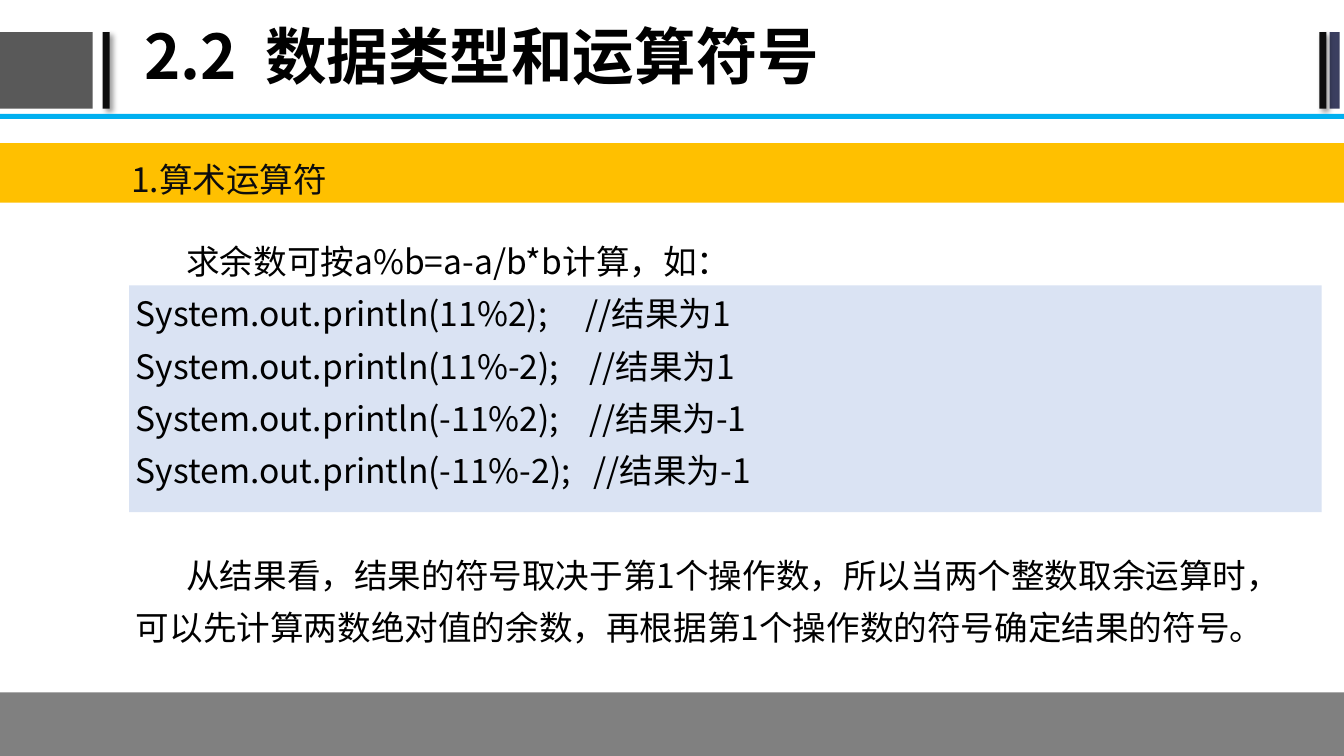
from lxml.etree import SubElement
from pptx import Presentation
from pptx.dml.color import RGBColor
from pptx.enum.shapes import MSO_SHAPE
from pptx.enum.text import MSO_ANCHOR, MSO_AUTO_SIZE, PP_ALIGN
from pptx.oxml.ns import qn
from pptx.util import Pt

FONT = "Noto Sans CJK SC"
COLORS = {
    "text": "000000", "heading": "0D0D0D", "block": "595959", "bar": "0D0D0D",
    "navy": "3B3F60", "rule": "00B0F0", "code": "DAE3F3", "footer": "808080",
    "band": "FFC000", "shadow": "000000",
}
WIDTH, HEIGHT = 960, 540
BAR_TOP, BAR_HEIGHT = 23, 54.7
FOOTER_TOP = 494.6
INDENT = 36
TEXT_SIZE = 24
PARAGRAPH_GAP = 37.4

TITLE = "2.2  数据类型和运算符号"
HEADING = "1.算术运算符"
INTRO = "求余数可按a%b=a-a/b*b计算，如："
CODE = [
    "System.out.println(11%2);     //结果为1",
    "System.out.println(11%-2);    //结果为1",
    "System.out.println(-11%2);    //结果为-1",
    "System.out.println(-11%-2);   //结果为-1",
]
CONCLUSION = ("从结果看，结果的符号取决于第1个操作数，所以当两个整数取余运算时，"
              "可以先计算两数绝对值的余数，再根据第1个操作数的符号确定结果的符号。")

# colour, left, top, width, height, shadow
PANELS = [
    ("block", 0, BAR_TOP, 66.2, BAR_HEIGHT, False),
    ("bar", 73.4, BAR_TOP, 5, BAR_HEIGHT, True),
    ("navy", 949.7, BAR_TOP, 7.2, BAR_HEIGHT, False),
    ("bar", 942.5, BAR_TOP, 5, BAR_HEIGHT, True),
    ("rule", 0, 81.4, WIDTH, 3.6, False),
    ("code", 92.2, 203.8, 851.8, 162, False),
    ("footer", 0, FOOTER_TOP, WIDTH, HEIGHT - FOOTER_TOP, False),
    ("band", 0, 102.2, WIDTH, 42.5, False),
]
# text, first-line indent, space before
BODY = [(INTRO, INDENT, 0), *((line, 0, 0) for line in CODE),
        (CONCLUSION, INDENT, PARAGRAPH_GAP)]


def rgb(name):
    return RGBColor.from_string(COLORS[name])


def add_shadow(s):
    effects = s._element.spPr.find(qn("a:effectLst"))
    outer = SubElement(effects, qn("a:outerShdw"), blurRad=str(Pt(4)),
                       dist=str(Pt(3)), dir=str(45 * 60000), algn="tl", rotWithShape="0")
    color = SubElement(outer, qn("a:srgbClr"), val=COLORS["shadow"])
    SubElement(color, qn("a:alpha"), val="40000")


def add_panel(slide, color, left, top, width, height, shadow):
    s = slide.shapes.add_shape(MSO_SHAPE.RECTANGLE, Pt(left), Pt(top), Pt(width), Pt(height))
    s.fill.solid()
    s.fill.fore_color.rgb = rgb(color)
    s.line.fill.background()
    s.shadow.inherit = False
    if shadow:
        add_shadow(s)


def place(s, left, top, width, height):
    s.left, s.top, s.width, s.height = Pt(left), Pt(top), Pt(width), Pt(height)


def add_run(p, text, size, color, spacing, bold=False):
    p.alignment = PP_ALIGN.LEFT
    p.line_spacing = spacing
    r = p.add_run()
    r.text = text
    r.font.size, r.font.bold, r.font.name = Pt(size), bold, FONT
    r.font.color.rgb = rgb(color)
    SubElement(r._r.get_or_add_rPr(), qn("a:ea"), typeface=FONT)


def add_text_frame(slide, left, top, width, height):
    tf = slide.shapes.add_textbox(Pt(left), Pt(top), Pt(width), Pt(height)).text_frame
    tf.word_wrap = True
    return tf


def main():
    prs = Presentation()
    prs.slide_width, prs.slide_height = Pt(WIDTH), Pt(HEIGHT)
    slide = prs.slides.add_slide(prs.slide_layouts[5])

    for panel in PANELS:
        add_panel(slide, *panel)

    title = slide.shapes.title
    place(title, 95.8, 0, 810, 85)
    tf = title.text_frame
    tf.vertical_anchor = MSO_ANCHOR.MIDDLE
    tf.auto_size = MSO_AUTO_SIZE.NONE
    add_run(tf.paragraphs[0], TITLE, 44, "text", 0.9, bold=True)

    tf = add_text_frame(slide, 84.2, 103, 733.7, 41.8)
    tf.margin_left = tf.margin_right = Pt(9.4)
    tf.margin_top = tf.margin_bottom = Pt(5)
    add_run(tf.paragraphs[0], HEADING, TEXT_SIZE, "heading", 1.2)

    tf = add_text_frame(slide, 90, 159.8, 828, 283.7)
    for i, (text, indent, gap) in enumerate(BODY):
        p = tf.add_paragraph() if i else tf.paragraphs[0]
        if indent:
            p._p.get_or_add_pPr().set("indent", str(Pt(indent)))
        if gap:
            p.space_before = Pt(gap)
        add_run(p, text, TEXT_SIZE, "text", 1.3)

    prs.save("out.pptx")


if __name__ == "__main__":
    main()
